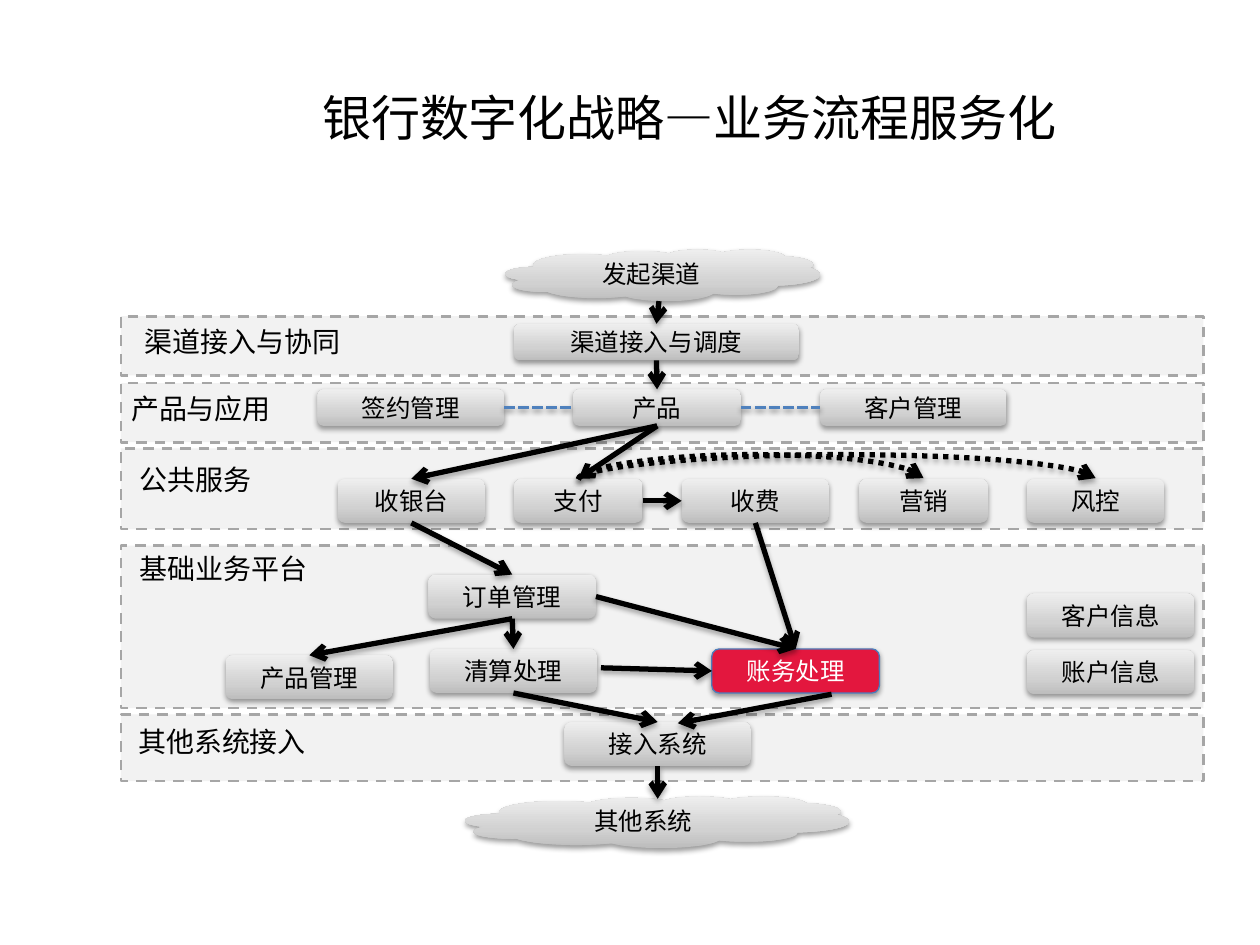
import dataclasses

import pptx
import pptx.dml.color
import pptx.enum.dml
import pptx.enum.shapes
import pptx.enum.text
import pptx.oxml
import pptx.oxml.ns
import pptx.util
from pptx.util import Inches

MSO_SHAPE = pptx.enum.shapes.MSO_SHAPE
MSO_CONNECTOR = pptx.enum.shapes.MSO_CONNECTOR
DASH = pptx.enum.dml.MSO_LINE
ALIGN = pptx.enum.text.PP_ALIGN
ANCHOR = pptx.enum.text.MSO_ANCHOR
TOP, LEFT, BOTTOM, RIGHT = range(4)


@dataclasses.dataclass(frozen=True)
class Theme:
    font: str = "Noto Sans CJK SC"
    title_size: int = 28
    label_size: int = 16
    node_size: int = 14
    text: str = "000000"
    inverse_text: str = "FFFFFF"
    band_fill: str = "F2F2F2"
    band_line: str = "A6A6A6"
    highlight: str = "E3173E"
    highlight_line: str = "4B7EBC"
    flow: str = "000000"
    relation: str = "4F81BD"
    gradient: tuple = ((0, "BDBDBD"), (35, "D1D1D1"), (100, "EEEEEE"))


def color(value):
    return pptx.dml.color.RGBColor.from_string(value)


def drawing_element(tag, attributes, content):
    namespace = pptx.oxml.ns.nsdecls("a")
    return pptx.oxml.parse_xml(f"<a:{tag} {namespace} {attributes}>{content}</a:{tag}>")


class Diagram:
    def __init__(self, slide, theme):
        self.shapes = slide.shapes
        self.theme = theme

    def set_text(self, shape, text, size, text_color, align=ALIGN.CENTER, wrap=True):
        frame = shape.text_frame
        frame.word_wrap = wrap
        paragraph = frame.paragraphs[0]
        paragraph.text = text
        paragraph.alignment = align
        paragraph.font.size = pptx.util.Pt(size)
        paragraph.font.name = self.theme.font
        paragraph.font.color.rgb = color(text_color)
        properties = paragraph.font._element
        properties.append(drawing_element("ea", f'typeface="{self.theme.font}"', ""))
        return frame

    def stroke(self, line, line_color, width, dash=None):
        line.color.rgb = color(line_color)
        line.width = pptx.util.Pt(width)
        if dash:
            line.dash_style = dash

    def shadow(self, shape, distance, alpha):
        properties = shape._element.spPr
        properties.append(drawing_element("effectLst", "", (
            f'<a:outerShdw blurRad="40000" dist="{distance}" dir="5400000" rotWithShape="0">'
            f'<a:srgbClr val="000000"><a:alpha val="{alpha}000"/></a:srgbClr></a:outerShdw>')))

    def title(self, text, left, top, width, height):
        box = self.shapes.add_textbox(*map(Inches, (left, top, width, height)))
        frame = self.set_text(box, text, self.theme.title_size, self.theme.text)
        frame.vertical_anchor = ANCHOR.MIDDLE

    def label(self, text, left, top, width, align=ALIGN.CENTER, wrap=False):
        box = self.shapes.add_textbox(*map(Inches, (left, top, width, 0.37)))
        self.set_text(box, text, self.theme.label_size, self.theme.text, align, wrap)

    def band(self, top, height):
        band = self.shapes.add_shape(MSO_SHAPE.RECTANGLE, *map(Inches, (0.96, top, 8.59, height)))
        band.shadow.inherit = False
        band.fill.solid()
        band.fill.fore_color.rgb = color(self.theme.band_fill)
        self.stroke(band.line, self.theme.band_line, 1.5, DASH.DASH)

    def node(self, text, left, top, width, height, kind=MSO_SHAPE.ROUNDED_RECTANGLE,
             highlighted=False):
        node = self.shapes.add_shape(kind, *map(Inches, (left, top, width, height)))
        if highlighted:
            node.fill.solid()
            node.fill.fore_color.rgb = color(self.theme.highlight)
            self.stroke(node.line, self.theme.highlight_line, 0.75)
        else:
            self.fill_gradient(node)
            node.line.fill.background()
        self.shadow(node, 20000, 38)
        text_color = self.theme.inverse_text if highlighted else self.theme.text
        frame = self.set_text(node, text, self.theme.node_size, text_color)
        frame.vertical_anchor = ANCHOR.MIDDLE
        return node

    def fill_gradient(self, shape):
        shape.fill.gradient()
        shape.fill.gradient_angle = 90
        stops = shape._element.spPr.find(".//" + pptx.oxml.ns.qn("a:gsLst"))
        for stop in list(stops):
            stops.remove(stop)
        for position, value in self.theme.gradient:
            stops.append(drawing_element(
                "gs", f'pos="{position * 1000}"', f'<a:srgbClr val="{value}"/>'))

    def arrowhead(self, connector):
        connector.line._get_or_add_ln().append(drawing_element("tailEnd", 'type="arrow"', ""))

    def link(self, start, end, relation=False):
        """Join two ends, each a (node, side) pair or an (x, y) point in inches."""
        connector = self.shapes.add_connector(MSO_CONNECTOR.STRAIGHT, 0, 0, 0, 0)
        if hasattr(start[0], "text_frame"):
            connector.begin_connect(*start)
        else:
            connector.begin_x, connector.begin_y = map(Inches, start)
        if hasattr(end[0], "text_frame"):
            connector.end_connect(*end)
        else:
            connector.end_x, connector.end_y = map(Inches, end)
        if relation:
            self.stroke(connector.line, self.theme.relation, 2, DASH.SQUARE_DOT)
            self.shadow(connector, 20000, 38)
        else:
            self.stroke(connector.line, self.theme.flow, 3)
            self.arrowhead(connector)
            self.shadow(connector, 23000, 35)

    def arc(self, start, end):
        """Dotted arrow that rises 0.2 inch between two node tops of equal height."""
        start_x, end_x = (node.left + node.width // 2 for node in (start, end))
        middle, half = (start_x + end_x) // 2, (end_x - start_x) // 2
        thickness = Inches(0.01)
        connector = self.shapes.add_connector(
            MSO_CONNECTOR.CURVE, middle + thickness // 2, start.top + half,
            middle - thickness // 2, start.top - half)
        properties = connector._element.spPr
        properties.find(pptx.oxml.ns.qn("a:xfrm")).set("rot", "5400000")
        bend = int(100000 * Inches(0.2) / thickness)
        geometry = properties.find(pptx.oxml.ns.qn("a:prstGeom"))
        for guides in geometry.findall(pptx.oxml.ns.qn("a:avLst")):
            geometry.remove(guides)
        geometry.append(drawing_element("avLst", "", f'<a:gd name="adj1" fmla="val {bend}"/>'))
        self.stroke(connector.line, self.theme.flow, 3, DASH.ROUND_DOT)
        self.arrowhead(connector)
        self.shadow(connector, 23000, 35)


def main():
    presentation = pptx.Presentation()
    presentation.slide_width, presentation.slide_height = Inches(10), Inches(7.5)
    slide = presentation.slides.add_slide(presentation.slide_layouts[6])
    diagram = Diagram(slide, Theme())

    diagram.title("银行数字化战略—业务流程服务化", 0.94, 0.3, 9.06, 1.25)
    for top, height in ((2.51, 0.47), (3.04, 0.47), (3.56, 0.64), (4.33, 1.29), (5.67, 0.53)):
        diagram.band(top, height)
    diagram.label("渠道接入与协同", 1.04, 2.53, 1.77)
    diagram.label("产品与应用", 0.74, 3.06, 1.71, wrap=True)
    diagram.label("公共服务", 1, 3.62, 1.1)
    diagram.label("基础业务平台", 1, 4.33, 1.55)
    diagram.label("其他系统接入", 1, 5.7, 1.55, ALIGN.LEFT)

    diagram.node("发起渠道", 4.01, 1.98, 2.5, 0.41, MSO_SHAPE.CLOUD)
    diagram.node("其他系统", 3.69, 6.32, 3.05, 0.41, MSO_SHAPE.CLOUD)
    dispatch = diagram.node("渠道接入与调度", 4.08, 2.57, 2.26, 0.29)
    contract, product, customer = (
        diagram.node(text, left, 3.09, width, 0.29) for text, left, width in
        (("签约管理", 2.52, 1.48), ("产品", 4.55, 1.33), ("客户管理", 6.51, 1.48)))
    cashier, payment, charge, marketing, risk = (
        diagram.node(text, left, 3.8, width, 0.35) for text, left, width in
        (("收银台", 2.68, 1.17), ("支付", 4.08, 1.02), ("收费", 5.41, 1.17),
         ("营销", 6.82, 1.02), ("风控", 8.15, 1.09)))
    order, catalog, clearing, _, _ = (
        diagram.node(text, left, top, 1.33, 0.35) for text, left, top in
        (("订单管理", 3.4, 4.56), ("产品管理", 1.79, 5.2), ("清算处理", 3.41, 5.15),
         ("客户信息", 8.15, 4.71), ("账户信息", 8.15, 5.16)))
    accounting = diagram.node("账务处理", 5.65, 5.15, 1.33, 0.35, highlighted=True)
    access = diagram.node("接入系统", 4.48, 5.73, 1.48, 0.35)

    for start, end in (
            ((5.23, 2.39), (dispatch, TOP)), ((dispatch, BOTTOM), (product, TOP)),
            ((product, BOTTOM), (cashier, TOP)), ((product, BOTTOM), (payment, TOP)),
            ((payment, RIGHT), (charge, LEFT)), ((cashier, BOTTOM), (order, TOP)),
            ((charge, BOTTOM), (accounting, TOP)), ((order, RIGHT), (accounting, TOP)),
            ((order, BOTTOM), (clearing, TOP)), ((order, BOTTOM), (catalog, TOP)),
            ((4.77, 5.3), (accounting, LEFT)), ((clearing, BOTTOM), (access, TOP)),
            ((6.6, 5.51), (5.38, 5.74)), ((access, BOTTOM), (5.22, 6.34))):
        diagram.link(start, end)
    diagram.link((contract, RIGHT), (product, LEFT), relation=True)
    diagram.link((product, RIGHT), (customer, LEFT), relation=True)
    for target in (marketing, risk):
        diagram.arc(payment, target)

    presentation.save("out.pptx")


if __name__ == "__main__":
    main()
